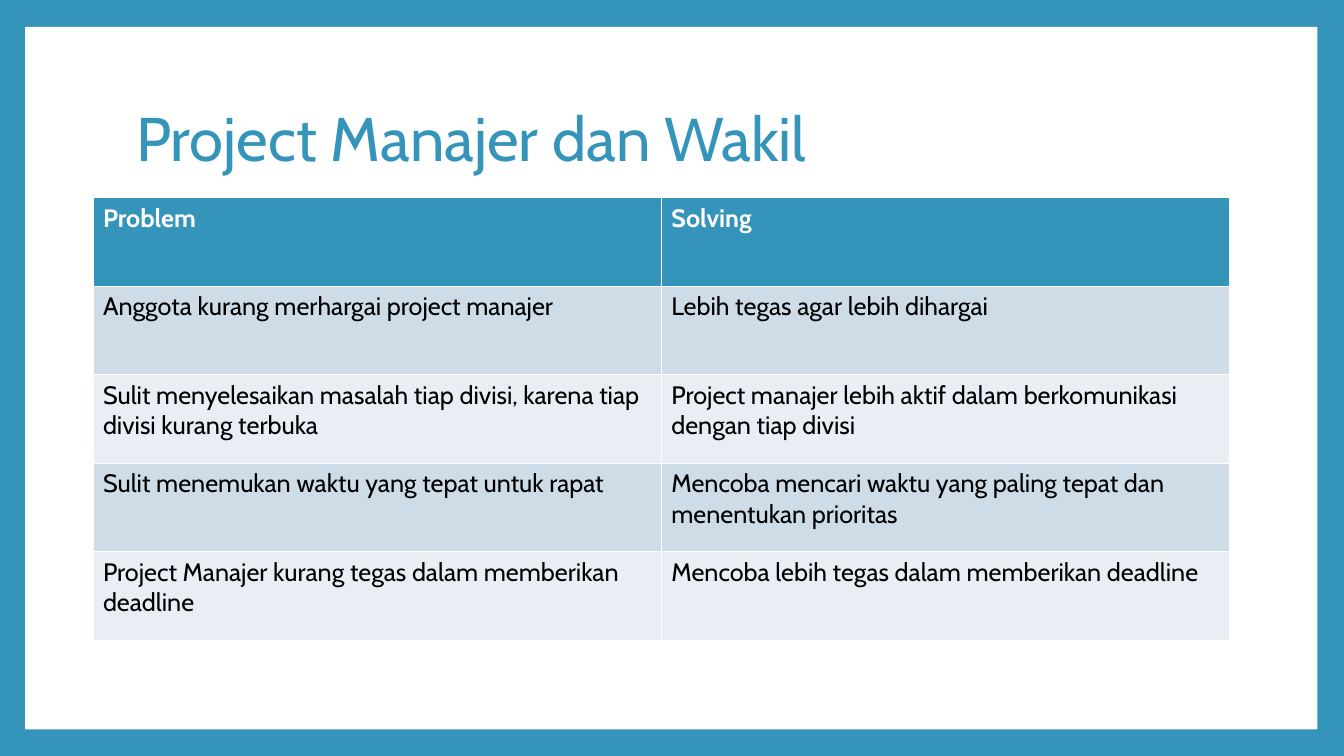
"""Build a slide with a table of project manager problems and solutions."""
import pptx
import pptx.dml.color
import pptx.enum.shapes
import pptx.enum.text
import pptx.util

BLUE = pptx.dml.color.RGBColor(0x34, 0x94, 0xBA)
WHITE = pptx.dml.color.RGBColor(0xFF, 0xFF, 0xFF)
BLACK = pptx.dml.color.RGBColor(0x00, 0x00, 0x00)
DARK_BAND = pptx.dml.color.RGBColor(0xCE, 0xDC, 0xE7)
LIGHT_BAND = pptx.dml.color.RGBColor(0xE8, 0xEE, 0xF3)

ROWS = [
    ("Problem", "Solving"),
    ("Anggota kurang merhargai project manajer",
     "Lebih tegas agar lebih dihargai"),
    ("Sulit menyelesaikan masalah tiap divisi, karena tiap divisi kurang terbuka",
     "Project manajer lebih aktif dalam berkomunikasi dengan tiap divisi"),
    ("Sulit menemukan waktu yang tepat untuk rapat",
     "Mencoba mencari waktu yang paling tepat dan menentukan prioritas"),
    ("Project Manajer kurang tegas dalam memberikan deadline",
     "Mencoba lebih tegas dalam memberikan deadline"),
]


class SlideBuilder:
    def __init__(self, slide, font_name):
        self.slide = slide
        self.font_name = font_name

    def box(self, *lengths):
        return [pptx.util.Pt(length) for length in lengths]

    def format_paragraph(self, paragraph, size, color, bold=False):
        font = paragraph.font
        font.name = self.font_name
        font.size = pptx.util.Pt(size)
        font.color.rgb = color
        font.bold = bold

    def background(self, color):
        fill = self.slide.background.fill
        fill.solid()
        fill.fore_color.rgb = color

    def panel(self, left, top, width, height):
        shape = self.slide.shapes.add_shape(
            pptx.enum.shapes.MSO_SHAPE.RECTANGLE,
            *self.box(left, top, width, height))
        shape.shadow.inherit = False
        shape.fill.solid()
        shape.fill.fore_color.rgb = WHITE
        shape.line.fill.background()
        self.slide.shapes.title.element.addprevious(shape.element)

    def title(self, text, left, top, width, height):
        title = self.slide.shapes.title
        title.left, title.top, title.width, title.height = self.box(
            left, top, width, height)
        title.text_frame.text = text
        title.text_frame.vertical_anchor = pptx.enum.text.MSO_ANCHOR.MIDDLE
        paragraph = title.text_frame.paragraphs[0]
        paragraph.alignment = pptx.enum.text.PP_ALIGN.LEFT
        paragraph.line_spacing = 0.9
        self.format_paragraph(paragraph, 44, BLUE)

    def table(self, rows, left, top, width, height):
        table = self.slide.shapes.add_table(
            len(rows), len(rows[0]), *self.box(left, top, width, height)).table
        for row_index, texts in enumerate(rows):
            is_header = row_index == 0
            band = DARK_BAND if row_index % 2 else LIGHT_BAND
            for column_index, text in enumerate(texts):
                cell = table.cell(row_index, column_index)
                cell.text = text
                cell.fill.solid()
                cell.fill.fore_color.rgb = BLUE if is_header else band
                self.format_paragraph(cell.text_frame.paragraphs[0], 18,
                                      WHITE if is_header else BLACK, is_header)


def main():
    presentation = pptx.Presentation()
    presentation.slide_width = pptx.util.Pt(960)
    presentation.slide_height = pptx.util.Pt(540)
    slide = presentation.slides.add_slide(presentation.slide_layouts[5])
    builder = SlideBuilder(slide, "Cabin")
    builder.background(BLUE)
    builder.panel(18, 19.2, 923, 521.5 - 19.2 - 0.5)
    builder.title("Project Manajer dan Wakil", 90, 48, 777.6, 106.5)
    builder.table(ROWS, 66.4, 141.3, 812, 316)
    presentation.save("out.pptx")


if __name__ == "__main__":
    main()
